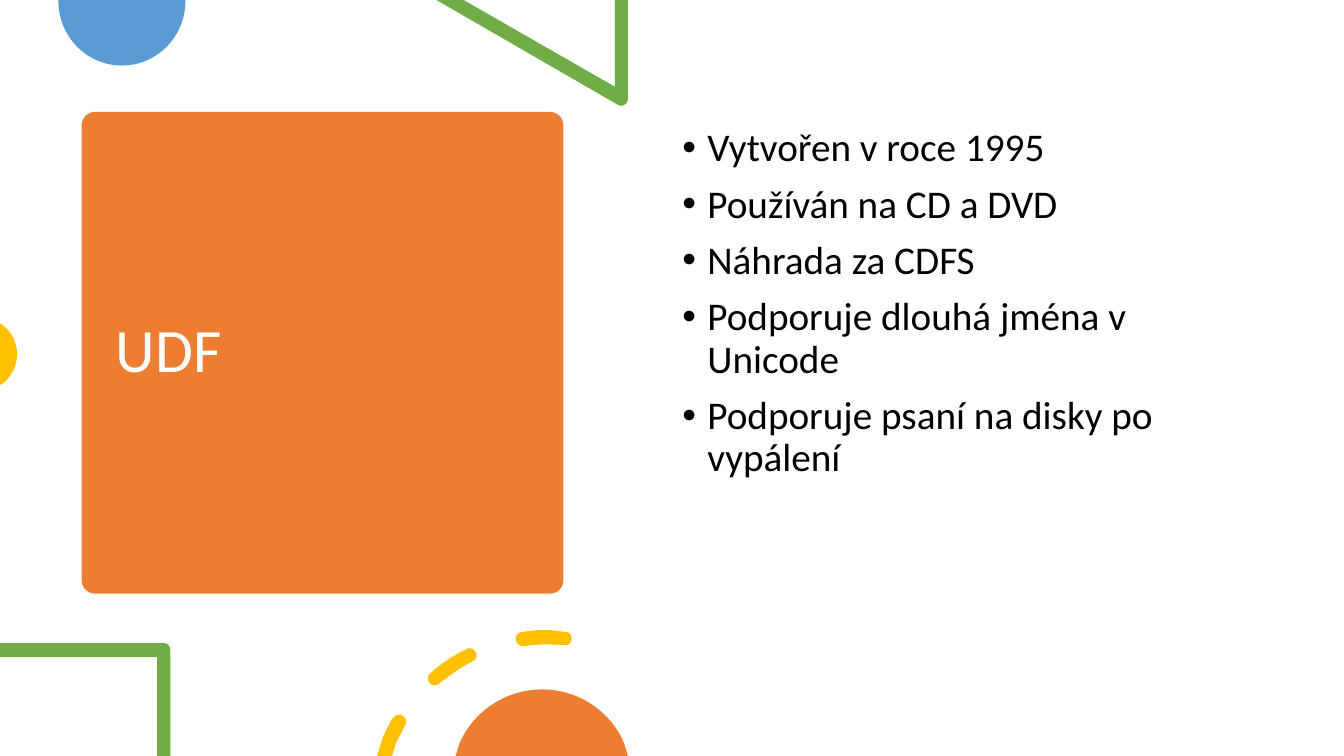
from dataclasses import dataclass

from lxml import etree
from pptx import Presentation
from pptx.dml.color import RGBColor
from pptx.enum.shapes import MSO_SHAPE
from pptx.enum.text import MSO_ANCHOR, MSO_AUTO_SIZE, PP_ALIGN
from pptx.oxml.ns import qn
from pptx.util import Inches, Pt

ROUNDED = MSO_SHAPE.ROUNDED_RECTANGLE
TOP, MIDDLE = MSO_ANCHOR.TOP, MSO_ANCHOR.MIDDLE
FIXED_SIZE = MSO_AUTO_SIZE.NONE
LEFT = PP_ALIGN.LEFT

FONT = "Calibri"
WHITE, BLACK = "FFFFFF", "000000"
ORANGE, BLUE, GREEN, YELLOW = "ED7D31", "5B9BD5", "70AD47", "FFC000"
TITLE_LAYOUT = 5

Contour = list[tuple[float, ...]]


@dataclass(frozen=True)
class Ornament:
    """An outline whose pairs are line ends and whose sextets are Bézier curves."""

    color: str
    contours: list[Contour]


TOP_ORNAMENTS = [
    Ornament(BLUE, [[
        (1.84, 0), (0.58, 0), (0.58, 0.01),
        (0.58, 0.36, 0.86, 0.65, 1.21, 0.65),
        (1.56, 0.65, 1.84, 0.36, 1.84, 0.01),
    ]]),
    Ornament(GREEN, [[
        (6.23, 0), (6.1, 0), (6.1, 0.86), (4.6, 0), (4.33, 0), (6.13, 1.04),
        (6.14, 1.05, 6.15, 1.05, 6.16, 1.05),
        (6.2, 1.05, 6.23, 1.02, 6.23, 0.98),
    ]]),
    Ornament(YELLOW, [[
        (0, 3.21), (0, 3.82), (0.02, 3.81),
        (0.11, 3.74, 0.17, 3.64, 0.17, 3.51),
        (0.17, 3.39, 0.11, 3.29, 0.02, 3.22),
    ]]),
]

BOTTOM_ORNAMENTS = [
    Ornament(GREEN, [[
        (1.63, 6.38), (0, 6.38), (0, 6.52), (1.56, 6.52), (1.56, 7.5),
        (1.69, 7.5), (1.69, 6.45),
        (1.69, 6.41, 1.66, 6.38, 1.63, 6.38),
    ]]),
    Ornament(YELLOW, [
        [
            (3.97, 7.09),
            (3.94, 7.08, 3.92, 7.1, 3.9, 7.12),
            (3.86, 7.18, 3.83, 7.25, 3.8, 7.31),
            (3.74, 7.5), (3.89, 7.5), (3.93, 7.37),
            (3.96, 7.31, 3.99, 7.25, 4.02, 7.19),
            (4.04, 7.16, 4.03, 7.11, 3.99, 7.1),
            (3.99, 7.09, 3.98, 7.09, 3.97, 7.09),
        ],
        [
            (4.65, 6.43),
            (4.65, 6.43, 4.64, 6.43, 4.63, 6.44),
            (4.5, 6.5, 4.38, 6.58, 4.27, 6.68),
            (4.24, 6.7, 4.24, 6.75, 4.26, 6.77),
            (4.27, 6.79, 4.29, 6.8, 4.31, 6.8),
            (4.31, 6.8),
            (4.33, 6.8, 4.35, 6.79, 4.36, 6.78),
            (4.46, 6.7, 4.57, 6.62, 4.69, 6.56),
            (4.73, 6.54, 4.74, 6.5, 4.72, 6.47),
            (4.71, 6.44, 4.68, 6.43, 4.65, 6.43),
        ],
        [
            (5.4, 6.25),
            (5.32, 6.25, 5.25, 6.26, 5.18, 6.27),
            (5.14, 6.27, 5.11, 6.31, 5.12, 6.35),
            (5.12, 6.38, 5.15, 6.41, 5.19, 6.41),
            (5.19, 6.41, 5.19, 6.41, 5.2, 6.41),
            (5.33, 6.39, 5.46, 6.39, 5.6, 6.4),
            (5.63, 6.41, 5.67, 6.38, 5.67, 6.35),
            (5.68, 6.31, 5.65, 6.27, 5.62, 6.27),
            (5.62, 6.27, 5.61, 6.27, 5.61, 6.27),
            (5.54, 6.26, 5.47, 6.25, 5.4, 6.25),
        ],
    ]),
    Ornament(ORANGE, [[
        (5.38, 6.84),
        (5.01, 6.84, 4.7, 7.06, 4.56, 7.37),
        (4.52, 7.5), (6.23, 7.5), (6.19, 7.37),
        (6.06, 7.06, 5.74, 6.84, 5.38, 6.84),
    ]]),
]

FACTS = [
    "Vytvořen v roce 1995",
    "Používán na CD a DVD",
    "Náhrada za CDFS",
    "Podporuje dlouhá jména v Unicode",
    "Podporuje psaní na disky po vypálení",
]


def rgb(color: str) -> RGBColor:
    return RGBColor.from_string(color)


def paint(shape, color: str) -> None:
    shape.shadow.inherit = False
    shape.fill.solid()
    shape.fill.fore_color.rgb = rgb(color)
    shape.line.fill.background()


def bend(shape, segments: Contour) -> None:
    lines = list(shape.element.iter(qn("a:lnTo")))
    for line, segment in zip(lines, segments):
        if len(segment) == 2:
            continue
        line.tag = qn("a:cubicBezTo")
        end = line[0]
        for x, y in (segment[:2], segment[2:4]):
            control = etree.Element(qn("a:pt"))
            control.set("x", str(Inches(x) - shape.left))
            control.set("y", str(Inches(y) - shape.top))
            end.addprevious(control)


def draw_ornament(slide, ornament: Ornament) -> None:
    outlines = [[(Inches(segment[-2]), Inches(segment[-1])) for segment in contour]
                for contour in ornament.contours]
    builder = slide.shapes.build_freeform(*outlines[0][0])
    for index, points in enumerate(outlines):
        if index:
            builder.move_to(*points[0])
        builder.add_line_segments(points[1:], close=True)
    shape = builder.convert_to_shape()
    bend(shape, [segment for contour in ornament.contours for segment in contour[1:]])
    paint(shape, ornament.color)


def add_bullet(para, indent: float) -> None:
    properties = para._p.get_or_add_pPr()
    properties.set("marL", str(Inches(indent)))
    properties.set("indent", str(-Inches(indent)))
    etree.SubElement(properties, qn("a:buFont"), typeface="Arial")
    etree.SubElement(properties, qn("a:buChar"), char="•")


def write(box, lines: list[str], *, size: float, color: str, anchor,
          before: float = 0, bullet_indent: float = 0) -> None:
    frame = box.text_frame
    frame.word_wrap = True
    frame.auto_size = FIXED_SIZE
    frame.vertical_anchor = anchor
    for index, line in enumerate(lines):
        para = frame.add_paragraph() if index else frame.paragraphs[0]
        para.alignment = LEFT
        para.line_spacing = 0.9
        para.space_before = Pt(before)
        if bullet_indent:
            add_bullet(para, bullet_indent)
        span = para.add_run()
        span.text = line
        span.font.name = FONT
        span.font.size = Pt(size)
        span.font.color.rgb = rgb(color)


def main() -> None:
    deck = Presentation()
    deck.slide_width, deck.slide_height = Inches(40 / 3), Inches(7.5)
    slide = deck.slides.add_slide(deck.slide_layouts[TITLE_LAYOUT])

    card = slide.shapes.add_shape(ROUNDED, Inches(0.81), Inches(1.11), Inches(4.78), Inches(4.78))
    card.adjustments[0] = 0.028
    paint(card, ORANGE)

    title = slide.shapes.title
    title.left, title.top = Inches(1.05), Inches(1.22)
    title.width, title.height = Inches(4.31), Inches(4.56)
    write(title, ["UDF"], size=44, color=WHITE, anchor=MIDDLE)
    title.element.addprevious(card.element)

    for ornament in TOP_ORNAMENTS:
        draw_ornament(slide, ornament)

    box = slide.shapes.add_textbox(Inches(6.67), Inches(1.22), Inches(5.75), Inches(5.03))
    write(box, FACTS, size=28, color=BLACK, anchor=TOP, before=10, bullet_indent=0.25)

    for ornament in BOTTOM_ORNAMENTS:
        draw_ornament(slide, ornament)

    deck.save("out.pptx")


if __name__ == "__main__":
    main()
